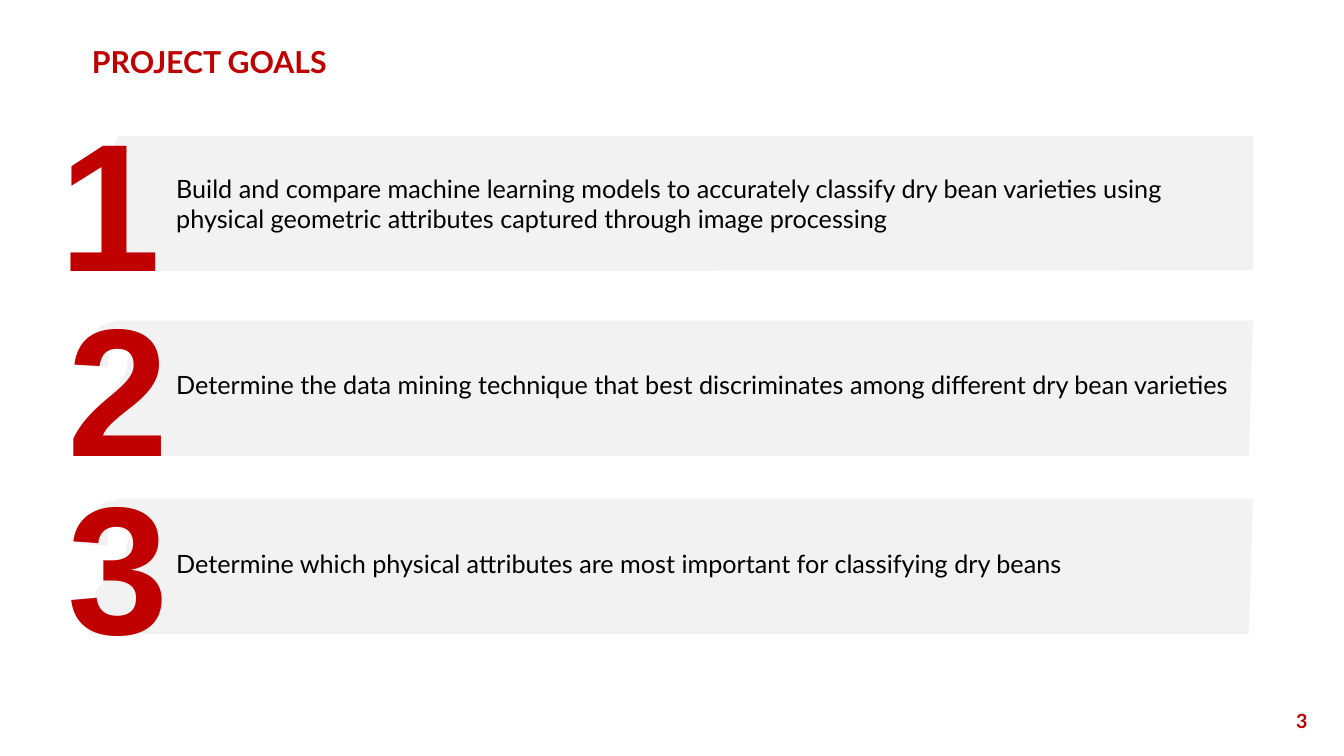
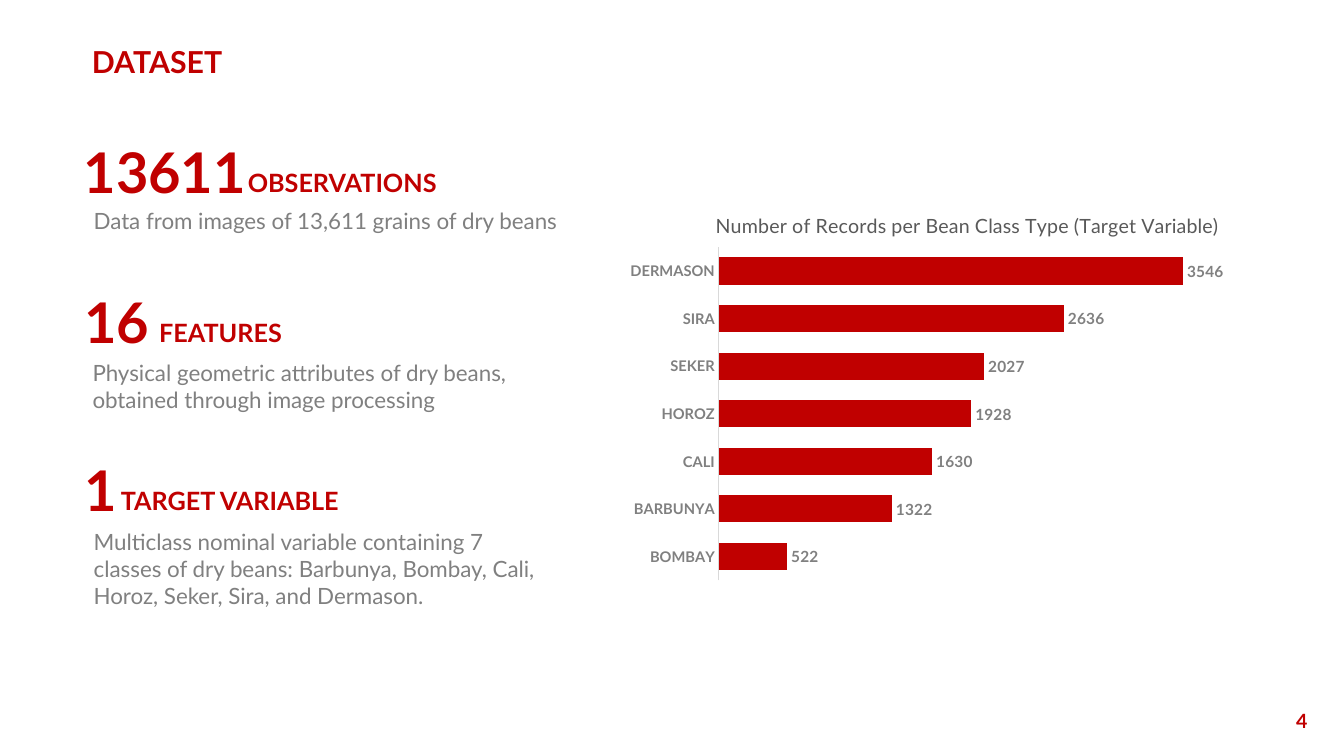
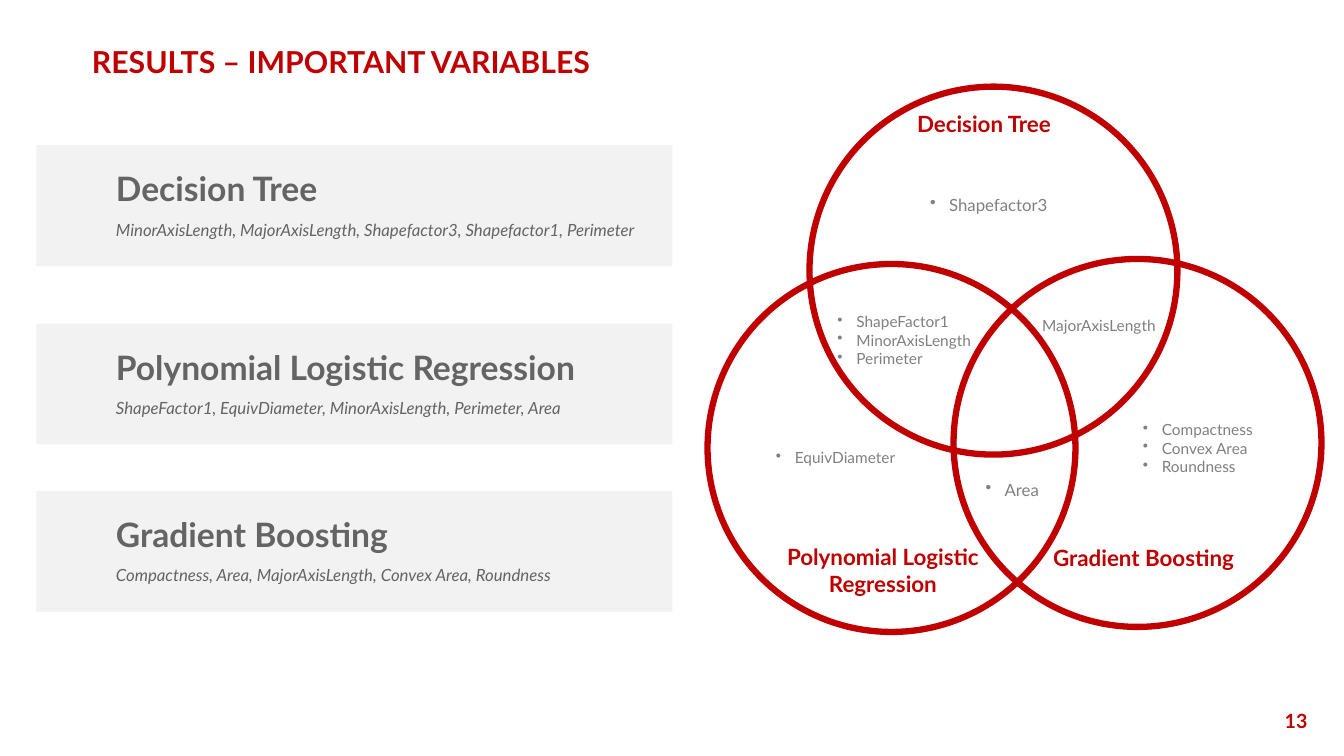
"""Build three slides on the dry bean project: goals, dataset and important variables."""
import pptx
import pptx.chart.data
import pptx.dml.color
import pptx.enum.chart
import pptx.enum.shapes
import pptx.enum.text
import pptx.oxml
import pptx.oxml.ns
import pptx.util

Pt = pptx.util.Pt
rgb = pptx.dml.color.RGBColor.from_string
SHAPE = pptx.enum.shapes.MSO_SHAPE
ALIGN = pptx.enum.text.PP_ALIGN
MIDDLE = pptx.enum.text.MSO_ANCHOR.MIDDLE
RED, PANEL, GREY, DARK = "C00000", "F2F2F2", "808080", "646464"


def write(frame, lines, size, colour, bold=False, align=ALIGN.LEFT, font="Lato",
          spacing=None, after=None, bullet=False):
    """Fill a text frame with equally styled paragraphs."""
    frame.word_wrap = True
    for index, line in enumerate(lines):
        para = frame.add_paragraph() if index else frame.paragraphs[0]
        para.text = line
        para.alignment = align
        if spacing:
            para.line_spacing = spacing
        if after:
            para.space_after = Pt(after)
        if bullet:
            properties = para._p.get_or_add_pPr()
            properties.set("marL", str(Pt(13.5)))
            properties.set("indent", str(-Pt(13.5)))
            properties.append(pptx.oxml.parse_xml(
                f'<a:buChar {pptx.oxml.ns.nsdecls("a")} char="•"/>'))
        para.font.name = font
        para.font.size = Pt(size)
        para.font.bold = bold
        para.font.color.rgb = rgb(colour)


def add_label(page, left, top, width, height, lines, size, colour, **style):
    """Add a text box and return its frame."""
    box = page.shapes.add_textbox(Pt(left), Pt(top), Pt(width), Pt(height))
    write(box.text_frame, lines, size, colour, **style)
    return box.text_frame


deck = pptx.Presentation()
deck.slide_width, deck.slide_height = Pt(960), Pt(540)

pages = []
for title, number in [("PROJECT GOALS", "3"), ("DATASET", "4"),
                      ("RESULTS – IMPORTANT VARIABLES", "13")]:
    page = deck.slides.add_slide(deck.slide_layouts[6])
    heading = add_label(page, 58.6, 33.8, 828, 23.8, [title], 21.6, RED, bold=True, spacing=0.9)
    footer = add_label(page, 677.5, 500.4, 263.5, 28.8, [number], 14, RED, bold=True,
                       align=ALIGN.RIGHT)
    heading.vertical_anchor = footer.vertical_anchor = MIDDLE
    pages.append(page)
goals, dataset, results = pages

flag_outline = [(85, 0), (895, 0), (895, 96), (80, 96.5), (80, 23), (69, 23), (69, 12.5), (80, 9)]
curl_outline = [(84, 0), (72, 3.5), (65, 12), (63.4, 24), (63.4, 33), (77, 33), (77, 23),
                (79, 16), (83.5, 13.7), (89, 15.5), (92, 24.5), (90, 37), (83.5, 47.5),
                (68.5, 66), (63.4, 84), (63.4, 96.5), (892, 96.5), (895, 0)]
goal_rows = [
    (97.2, flag_outline, 120.2, 42.5, 65.5,
     "Build and compare machine learning models to accurately classify dry bean varieties using "
     "physical geometric attributes captured through image processing"),
    (229, curl_outline, 259.9, 48.2, 59.8,
     "Determine the data mining technique that best discriminates among different dry bean varieties"),
    (356.4, curl_outline, 388.1, 48.2, 59.8,
     "Determine which physical attributes are most important for classifying dry beans"),
]
for number, (top, outline, text_top, left, width, goal) in enumerate(goal_rows, 1):
    corners = [(Pt(x), Pt(top + y)) for x, y in outline]
    builder = goals.shapes.build_freeform(*corners[0])
    builder.add_line_segments(corners[1:])
    band = builder.convert_to_shape()
    band.shadow.inherit = False
    band.fill.solid()
    band.fill.fore_color.rgb = rgb(PANEL)
    band.line.fill.background()
    add_label(goals, 118.8, text_top, 765 if number == 1 else 780, 29, [goal], 18, "000000")
    numeral = add_label(goals, left, top - 12, width, 137, [str(number)], 130, RED, bold=True,
                        align=ALIGN.CENTER, font="Arial", spacing=0.85, after=6)
    numeral.margin_left = numeral.margin_right = numeral.margin_bottom = 0
    numeral.margin_top = Pt(2.9)

facts = [
    (95, "13611", 52.7, 169.9, "OBSERVATIONS", 144.7, 59.8, 401,
     "Data from images of 13,611 grains of dry beans"),
    (201.6, "16", 53.3, 106.6, "FEATURES", 252.7, 59, 337.7,
     "Physical geometric attributes of dry beans, obtained through image processing"),
    (321.8, "1", 53.3, 79.2, "TARGET VARIABLE", 373.7, 59.8, 337.7,
     "Multiclass nominal variable containing 7 classes of dry beans: Barbunya, Bombay, Cali, "
     "Horoz, Seker, Sira, and Dermason."),
]
for top, count, count_left, name_left, name, detail_top, detail_left, detail_width, detail in facts:
    add_label(dataset, count_left, top, 168.5, 55.4, [count], 40, RED, bold=True)
    add_label(dataset, name_left, top + 21.2, 200, 28.8, [name], 18, RED, bold=True)
    add_label(dataset, detail_left, detail_top, detail_width, 65, [detail], 16, GREY)

records = pptx.chart.data.CategoryChartData()
records.categories = ["BOMBAY", "BARBUNYA", "CALI", "HOROZ", "SEKER", "SIRA", "DERMASON"]
records.add_series("Series 1", [522, 1322, 1630, 1928, 2027, 2636, 3546])
chart = dataset.shapes.add_chart(pptx.enum.chart.XL_CHART_TYPE.BAR_CLUSTERED, Pt(403.9), Pt(131),
                                 Pt(498.2), Pt(294.5), records).chart
chart.font.name = "Lato"
chart.font.size = Pt(10)
chart.font.color.rgb = rgb("000000")
chart.has_legend = False
chart.has_title = True
write(chart.chart_title.text_frame,
      ["Number of Records per Bean Class Type (Target Variable)"], 14, "595959",
      align=ALIGN.CENTER)

plot = chart.plots[0]
plot.gap_width = 76
plot.vary_by_categories = False
bars = plot.series[0]
bars.invert_if_negative = False
bars.format.fill.solid()
bars.format.fill.fore_color.rgb = rgb(RED)
plot.has_data_labels = True
labels = plot.data_labels
labels.show_value = True
labels.position = pptx.enum.chart.XL_LABEL_POSITION.OUTSIDE_END
classes = chart.category_axis
classes.major_tick_mark = classes.minor_tick_mark = pptx.enum.chart.XL_TICK_MARK.NONE
classes.has_major_gridlines = False
classes.format.line.color.rgb = rgb("D9D9D9")
classes.format.line.width = Pt(0.75)
for font, size in [(labels.font, 11), (classes.tick_labels.font, 10.5)]:
    font.name = "Lato"
    font.size = Pt(size)
    font.bold = True
    font.color.rgb = rgb(GREY)
chart.value_axis.visible = False
chart.value_axis.has_major_gridlines = False
chart.value_axis.minimum_scale = 0
chart.value_axis.maximum_scale = 4000

plot_area = chart._chartSpace.xpath("c:chart/c:plotArea")[0]
for parent, position, target, places in [
        (chart.chart_title._element, 1, "", {"x": 0.21, "y": 0.06}),
        (plot_area, 0, '<c:layoutTarget val="inner"/>',
         {"x": 0.22, "y": 0.155, "w": 0.751, "h": 0.808})]:
    for layout in parent.xpath("c:layout"):
        parent.remove(layout)
    values = "".join(f'<c:{key} val="{value}"/>' for key, value in places.items())
    parent.insert(position, pptx.oxml.parse_xml(
        f'<c:layout {pptx.oxml.ns.nsdecls("c")}><c:manualLayout>{target}'
        f'<c:xMode val="edge"/><c:yMode val="edge"/>{values}</c:manualLayout></c:layout>'))

models = [
    (103.7, "Decision Tree",
     "MinorAxisLength, MajorAxisLength, Shapefactor3, Shapefactor1, Perimeter"),
    (231.1, "Polynomial Logistic Regression",
     "ShapeFactor1, EquivDiameter, MinorAxisLength, Perimeter, Area"),
    (350.6, "Gradient Boosting", "Compactness, Area, MajorAxisLength, Convex Area, Roundness"),
]
for top, model, variables in models:
    card = results.shapes.add_shape(SHAPE.RECTANGLE, Pt(25.9), Pt(top), Pt(454.3), Pt(86.4))
    card.shadow.inherit = False
    card.fill.solid()
    card.fill.fore_color.rgb = rgb(PANEL)
    card.line.fill.background()
    frame = card.text_frame
    frame.vertical_anchor = MIDDLE
    frame.margin_left, frame.margin_right = Pt(56.9), Pt(8.6)
    frame.margin_top = frame.margin_bottom = Pt(5.8)
    write(frame, [model, variables], 24, DARK, bold=True, spacing=0.95, after=8)
    detail = frame.paragraphs[1].font
    detail.size, detail.bold, detail.italic = Pt(12), False, True

for left, top in [(578.2, 61.9), (681.1, 185), (505.4, 188.6)]:
    circle = results.shapes.add_shape(SHAPE.OVAL, Pt(left), Pt(top), Pt(262.8), Pt(262.8))
    circle.shadow.inherit = False
    circle.fill.background()
    circle.line.color.rgb = rgb(RED)
    circle.line.width = Pt(4.5)

for left, top, width, name, align in [
        (648, 74.9, 122.4, "Decision Tree", ALIGN.LEFT),
        (745.2, 385.2, 167, "Gradient Boosting", ALIGN.LEFT),
        (537.8, 384.5, 185.8, "Polynomial Logistic Regression", ALIGN.CENTER)]:
    add_label(results, left, top, width, 26.6, [name], 16, RED, bold=True, align=align)

for left, top, width, size, bullet, variables in [
        (737.3, 222.5, 103.7, 11, False, ["MajorAxisLength"]),
        (657.4, 135.4, 131.8, 12, True, ["Shapefactor3"]),
        (591.1, 219.6, 114.5, 11, True, ["ShapeFactor1", "MinorAxisLength", "Perimeter"]),
        (547.2, 316.8, 103.7, 11, True, ["EquivDiameter"]),
        (809.3, 296.6, 103.7, 11, True, ["Compactness", "Convex Area", "Roundness"]),
        (697, 339.1, 131.8, 12, True, ["Area"])]:
    add_label(results, left, top, width, 7.2 + 13.4 * len(variables), variables, size, GREY,
              bullet=bullet)

deck.save("out.pptx")
